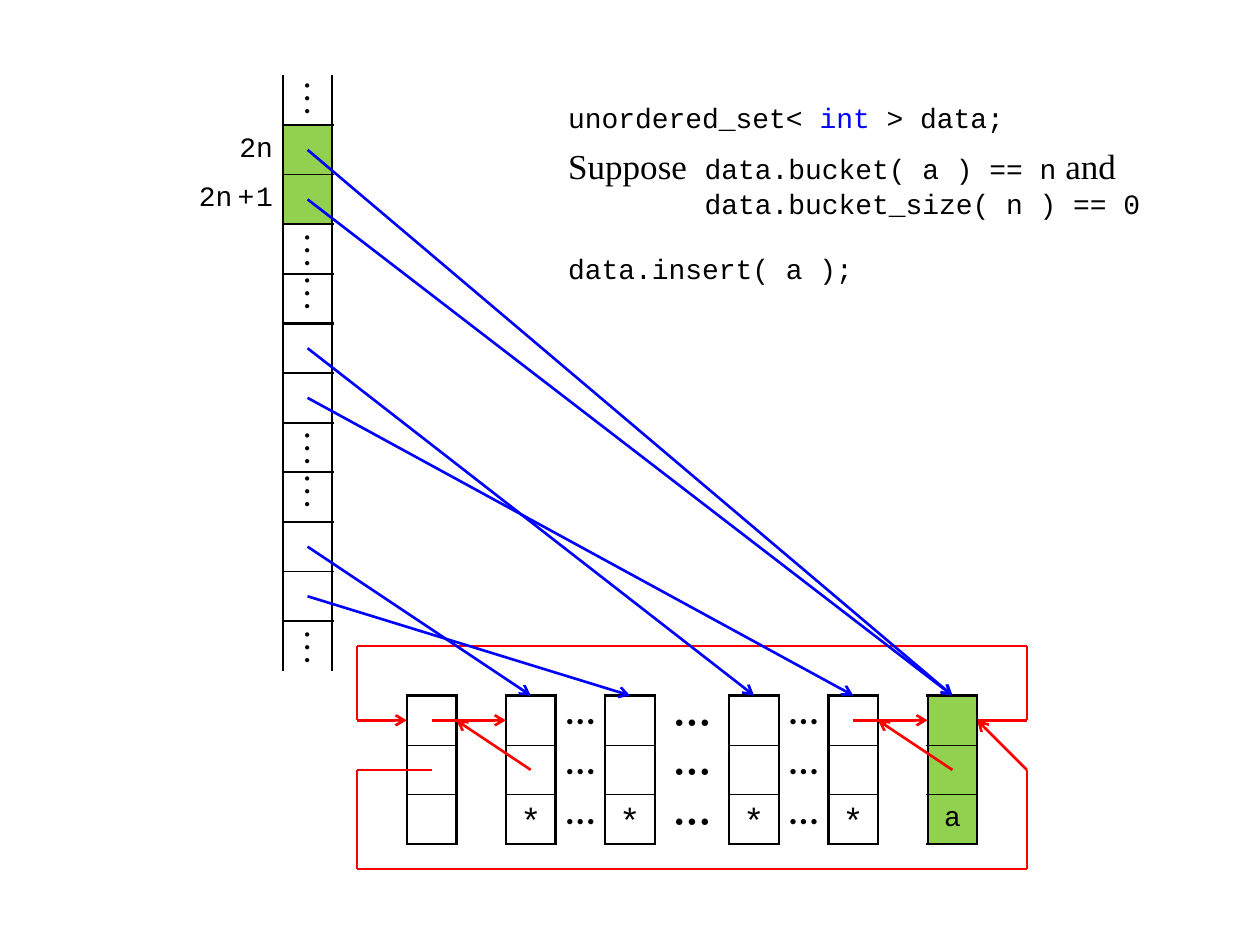
from lxml import etree
from pptx import Presentation
from pptx import util as u
from pptx.dml.color import RGBColor
from pptx.enum import shapes, text
from pptx.oxml import ns

COLOURS = {"ink": "000000", "bucket": "0000FF", "link": "FF0000", "new": "92D050"}
CODE, SERIF = "Courier New", "Times New Roman"
THICK, THIN = 1.5, 0.75
PLAIN_TABLE = "{2D5ABB26-0587-4C30-8999-92F81FD0307C}"
TOP, MIDDLE, BOTTOM = (text.MSO_ANCHOR.TOP, text.MSO_ANCHOR.MIDDLE,
                       text.MSO_ANCHOR.BOTTOM)
CENTER, RIGHT = text.PP_ALIGN.CENTER, text.PP_ALIGN.RIGHT
CODE_FONT = {"name": CODE, "size": u.Pt(16)}
STAR_FONT = {"name": CODE, "size": u.Pt(20)}
WORD_FONT = {"name": SERIF, "size": u.Pt(20)}
DOTS_FONT = {"name": SERIF, "size": u.Pt(22)}


def rgb(colour):
    """Return the named colour."""
    return RGBColor.from_string(COLOURS[colour])


def add_run(paragraph, words, font, colour="ink"):
    """Append a formatted run and return it."""
    run = paragraph.add_run()
    run.text = words
    for key, value in font.items():
        setattr(run.font, key, value)
    run.font.color.rgb = rgb(colour)
    return run


def write_cell(cell, words, font, anchor=MIDDLE, align=CENTER):
    """Put words in a cell; return the runs, one for each item of words."""
    cell.vertical_anchor = anchor
    paragraph = cell.text_frame.paragraphs[0]
    paragraph.alignment = align
    return [add_run(paragraph, part, font) for part in words]


def set_borders(cell, top, bottom):
    """Give a cell thick sides and the given top and bottom widths."""
    properties = cell._tc.get_or_add_tcPr()
    for tag, width in (("lnL", THICK), ("lnR", THICK), ("lnT", top), ("lnB", bottom)):
        if width:
            line = etree.SubElement(properties, ns.qn("a:" + tag), w=str(u.Pt(width)))
            fill = etree.SubElement(line, ns.qn("a:solidFill"))
            etree.SubElement(fill, ns.qn("a:srgbClr"), val=COLOURS["ink"])


def set_fill(cell, colour):
    """Fill a cell, or clear it when there is no colour."""
    if colour:
        cell.fill.solid()
        cell.fill.fore_color.rgb = rgb(colour)
    else:
        cell.fill.background()


def add_grid(slide, left, top, widths, rows):
    """Add an unstyled table with rows 1 cm high."""
    frame = slide.shapes.add_table(rows, len(widths), u.Cm(left), u.Cm(top),
                                   u.Cm(sum(widths)), u.Cm(rows))
    table = frame.table
    table._tbl.tblPr.find(ns.qn("a:tableStyleId")).text = PLAIN_TABLE
    table.first_row = table.horz_banding = False
    for column, width in zip(table.columns, widths):
        column.width = u.Cm(width)
    for row in table.rows:
        row.height = u.Cm(1)
    for cell in table.iter_cells():
        cell.margin_left = cell.margin_right = 0
        cell.margin_top = cell.margin_bottom = 0
    return table


def add_path(slide, points, colour, arrow=True):
    """Join points by straight lines, with an arrowhead on the last one."""
    for index, (start, end) in enumerate(zip(points, points[1:]), 2):
        line = slide.shapes.add_connector(shapes.MSO_CONNECTOR.STRAIGHT,
                                          *map(u.Cm, start + end))
        line.line.color.rgb = rgb(colour)
        line.line.width = u.Pt(THICK)
        if arrow and index == len(points):
            etree.SubElement(line.line._get_or_add_ln(), ns.qn("a:tailEnd"),
                             type="arrow")
        etree.SubElement(line._element.spPr, ns.qn("a:effectLst"))


def add_buckets(slide, left, top):
    """Draw the bucket array with its index labels."""
    table = add_grid(slide, left, top, (2, 1), 12)
    pair = [(None, THICK, THIN), (None, THIN, THICK)]
    gap = [(BOTTOM, THICK, 0), (TOP, 0, THICK)]
    rows = [(MIDDLE, 0, THICK)] + (pair + gap) * 2 + pair + [(BOTTOM, THICK, 0)]
    for index, (anchor, upper, lower) in enumerate(rows):
        cell = table.cell(index, 1)
        set_borders(cell, upper, lower)
        set_fill(cell, "new" if index in (1, 2) else None)
        if anchor is not None:
            write_cell(cell, ["⋮"], DOTS_FONT, anchor)
    for index, label in ((1, ["2n"]), (2, ["2", "n", "+", "1"])):
        cell = table.cell(index, 0)
        cell.margin_right = u.Cm(0.2)
        runs = write_cell(cell, label, CODE_FONT, align=RIGHT)
        for run, spacing in zip(runs, ("0", "300", "100", "0")):
            run.font._element.set("spc", spacing)


def add_node(slide, left, top, value="", font=STAR_FONT, anchor=BOTTOM, colour=None):
    """Draw a list node: next, previous and value."""
    table = add_grid(slide, left, top, (1,), 3)
    borders = ((THICK, THIN), (THIN, THIN), (THIN, THICK))
    for cell, (upper, lower) in zip(table.iter_cells(), borders):
        set_borders(cell, upper, lower)
        set_fill(cell, colour)
    if value:
        write_cell(table.cell(2, 0), [value], font, anchor)


def add_gap(slide, left, top, width, size):
    """Draw the dots that stand for left-out nodes."""
    for cell in add_grid(slide, left, top, (width,), 3).iter_cells():
        write_cell(cell, ["⋯"], {"name": SERIF, "size": u.Pt(size), "bold": True})


def add_list(slide, left, top):
    """Draw the circular doubly linked list."""
    next_y, previous_y = top + 0.5, top + 1.5
    near, far = left - 1, left + 12.5
    add_node(slide, left, top)
    add_path(slide, [(left + 11, next_y), (far, next_y), (far, top - 1),
                     (near, top - 1), (near, next_y), (left, next_y)], "link")
    add_path(slide, [(left + 0.5, previous_y), (near, previous_y),
                     (near, top + 3.5), (far, top + 3.5), (far, previous_y),
                     (left + 11.5, next_y)], "link")
    for offset in (2, 4, 6.5, 8.5):
        add_node(slide, left + offset, top, "*")
    add_node(slide, left + 10.5, top, "a", CODE_FONT, MIDDLE, "new")
    for offset, width, size in ((3, 1, 18), (5, 1.5, 22), (7.5, 1, 18)):
        add_gap(slide, left + offset, top, width, size)
    for offset in (0, 8.5):
        x = left + offset
        add_path(slide, [(x + 0.5, next_y), (x + 2, next_y)], "link")
        add_path(slide, [(x + 2.5, previous_y), (x + 1, next_y)], "link")


def add_bucket_arrows(slide, x, top, list_left, list_top):
    """Point each bucket at the first or last node of its chain."""
    targets = {1: 11, 2: 11, 5: 7, 6: 9, 9: 2.5, 10: 4.5}
    for row, offset in targets.items():
        add_path(slide, [(x, top + row + 0.5), (list_left + offset, list_top)],
                 "bucket")


def add_code(slide, left, top, width, height):
    """Write the code and its explanation in the body placeholder."""
    body = slide.placeholders[1]
    box = {"left": left, "top": top, "width": width, "height": height}
    for key, value in box.items():
        setattr(body, key, u.Cm(value))
    frame = body.text_frame
    settings = {"word_wrap": True, "vertical_anchor": TOP, "margin_top": 0,
                "margin_bottom": 0, "auto_size": text.MSO_AUTO_SIZE.NONE}
    for key, value in settings.items():
        setattr(frame, key, value)
    lines = [
        (6, 0, [("unordered_set< ", CODE_FONT), ("int", CODE_FONT, "bucket"),
                (" > data;", CODE_FONT)]),
        (6, 2.75, [("Suppose\t", WORD_FONT), ("data.bucket( a ) == n", CODE_FONT),
                   (" and ", WORD_FONT), ("data.bucket_size( n ) == 0", CODE_FONT)]),
        (18, 0, [("data.insert( a );", CODE_FONT)]),
    ]
    for index, (before, indent, runs) in enumerate(lines):
        paragraph = frame.add_paragraph() if index else frame.paragraphs[0]
        paragraph.space_before = u.Pt(before)
        properties = paragraph._p.get_or_add_pPr()
        properties.set("marL", str(u.Cm(indent)))
        properties.set("indent", str(-u.Cm(indent)))
        etree.SubElement(properties, ns.qn("a:buNone"))
        for run in runs:
            add_run(paragraph, *run)


def main():
    """Build and save the slide."""
    presentation = Presentation()
    presentation.slide_width, presentation.slide_height = u.Cm(25.4), u.Cm(19.05)
    slide = presentation.slides.add_slide(presentation.slide_layouts[1])
    title = slide.shapes.title._element
    title.getparent().remove(title)
    add_code(slide, 11.2, 2.03, 12.5, 4)
    add_list(slide, 8.2, 14.02)
    add_buckets(slide, 3.7, 1.52)
    add_bucket_arrows(slide, 6.2, 1.52, 8.2, 14.02)
    presentation.save("out.pptx")


main()
